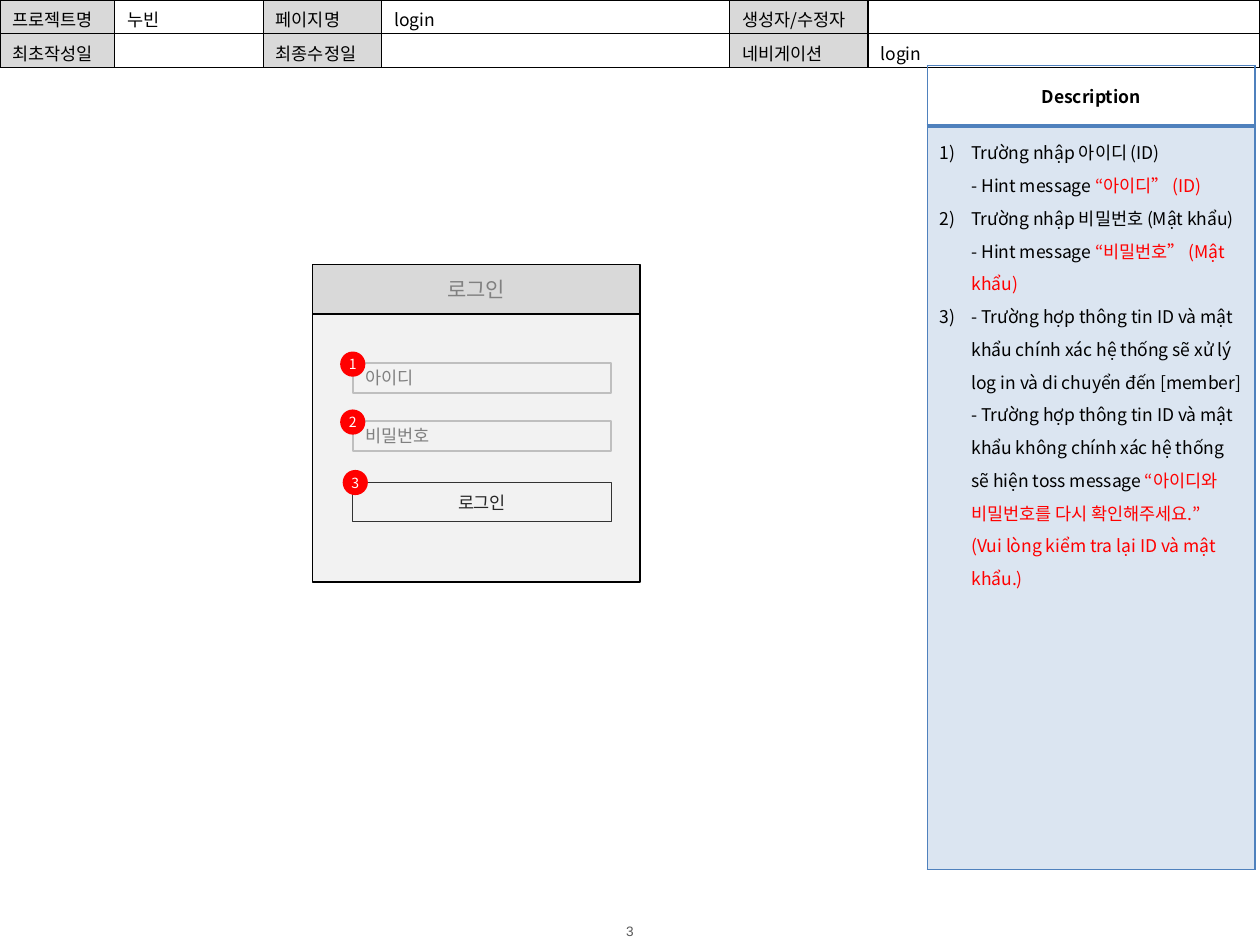
from lxml.etree import SubElement
from pptx import Presentation
from pptx.dml.color import RGBColor
from pptx.enum.shapes import MSO_SHAPE
from pptx.enum.text import MSO_ANCHOR, PP_ALIGN
from pptx.oxml.ns import qn
from pptx.util import Inches, Pt

# Content
FONT = "Noto Sans CJK KR"
BLACK, RED, GRAY, BLUE = "000000", "FF0000", "808080", "4F81BD"
PANEL, HEADER = "F2F2F2", "D9D9D9"

INFO_ROWS = [
    ["프로젝트명", "누빈", "페이지명", "login", "생성자/수정자", ""],
    ["최초작성일", "", "최종수정일", "", "네비게이션", "login"],
]
INFO_WIDTHS = [0.91, 1.18, 0.94, 2.76, 1.1, 3.11]

# Each item: black lines, then the lines of the red message that follows them
DESCRIPTIONS = [
    (["Trường nhập 아이디 (ID)", "- Hint message "], ["“아이디” (ID)"]),
    (["Trường nhập 비밀번호 (Mật khẩu)", "- Hint message "], ["“비밀번호” (Mật khẩu)"]),
    (["- Trường hợp thông tin ID và mật khẩu chính xác hệ thống sẽ xử lý "
      "log in và di chuyển đến [member]",
      "- Trường hợp thông tin ID và mật khẩu không chính xác hệ thống sẽ hiện "
      "toss message "],
     ["“아이디와 비밀번호를 다시 확인해주세요.”",
      "(Vui lòng kiểm tra lại ID và mật khẩu.)"]),
]

# Text, top, height, line colour, line width, font, text colour, alignment
FIELDS = [
    ("아이디", 2.88, 0.24, "BFBFBF", 1, FONT, GRAY, PP_ALIGN.LEFT),
    ("로그인", 3.83, 0.31, "333333", 0.5, "Calibri", "262626", PP_ALIGN.CENTER),
    ("비밀번호", 3.34, 0.24, "BFBFBF", 1, FONT, GRAY, PP_ALIGN.LEFT),
]
MARKERS = [("1", 2.7, 2.79), ("2", 2.7, 3.25), ("3", 2.72, 3.73)]


def color(value):
    return RGBColor.from_string(value)


def add_span(para, text, size=10, tint=BLACK, font=FONT, bold=False):
    span = para.add_run()
    span.text = text
    span.font.size, span.font.bold, span.font.name = Pt(size), bold, font
    span.font.color.rgb = color(tint)
    SubElement(span.font._element, qn("a:ea"), typeface=font)


def add_lines(para, lines, tint):
    for number, line in enumerate(lines):
        if number:
            para.add_line_break()
        add_span(para, line, tint=tint)


def no_margins(frame):
    frame.margin_left = frame.margin_right = frame.margin_top = frame.margin_bottom = 0


def add_box(page, place, fill, line=None, width=1, kind=MSO_SHAPE.RECTANGLE):
    box = page.shapes.add_shape(kind, *map(Inches, place))
    box.shadow.inherit = False
    box.fill.solid()
    box.fill.fore_color.rgb = color(fill)
    if line:
        box.line.color.rgb = color(line)
        box.line.width = Pt(width)
    else:
        box.line.fill.background()
    box.text_frame.vertical_anchor = MSO_ANCHOR.MIDDLE
    box.text_frame.paragraphs[0].alignment = PP_ALIGN.CENTER
    return box


def add_grid(page, left, top, widths, heights):
    frame = page.shapes.add_table(len(heights), len(widths), Inches(left), Inches(top),
                                  Inches(sum(widths)), Inches(sum(heights)))
    table = frame.table
    table.first_row = table.horz_banding = False
    for column, width in zip(table.columns, widths):
        column.width = Inches(width)
    for row, height in zip(table.rows, heights):
        row.height = Inches(height)
    return table


def style_cell(cell, line, fill=None, opacity=100, bottom=1):
    properties = cell._tc.get_or_add_tcPr()
    for side in "LRTB":
        width = bottom if side == "B" else 1
        border = SubElement(properties, qn("a:ln" + side), w=str(Pt(width)))
        solid = SubElement(border, qn("a:solidFill"))
        SubElement(solid, qn("a:srgbClr"), val=line)
    if not fill:
        cell.fill.background()
        return
    cell.fill.solid()
    cell.fill.fore_color.rgb = color(fill)
    if opacity < 100:
        tint = properties.find(qn("a:solidFill")).find(qn("a:srgbClr"))
        SubElement(tint, qn("a:alpha"), val=str(opacity * 1000))


def add_info(page):
    table = add_grid(page, 0, 0, INFO_WIDTHS, [0.26, 0.26])
    for row, texts in enumerate(INFO_ROWS):
        for column, text in enumerate(texts):
            cell = table.cell(row, column)
            style_cell(cell, BLACK, HEADER if column % 2 == 0 else None)
            para = cell.text_frame.paragraphs[0]
            para.font.size = Pt(10)
            if text:
                add_span(para, text)


def add_description(page):
    table = add_grid(page, 7.36, 0.52, [2.6], [0.48, 5.9])
    title, body = table.cell(0, 0), table.cell(1, 0)
    style_cell(title, BLUE, bottom=2)
    title.vertical_anchor = MSO_ANCHOR.MIDDLE
    para = title.text_frame.paragraphs[0]
    para.alignment = PP_ALIGN.CENTER
    add_span(para, "Description", bold=True)

    style_cell(body, BLUE, BLUE, opacity=20)
    frame = body.text_frame
    for index, (lines, message) in enumerate(DESCRIPTIONS):
        para = frame.add_paragraph() if index else frame.paragraphs[0]
        para.line_spacing = 1.3
        properties = para._p.get_or_add_pPr()
        properties.set("marL", str(Inches(0.25)))
        properties.set("indent", str(Inches(-0.25)))
        SubElement(properties, qn("a:buFont"), typeface="+mj-lt")
        SubElement(properties, qn("a:buAutoNum"), type="arabicParenR")
        add_lines(para, lines, BLACK)
        add_lines(para, message, RED)


def add_login(page):
    # Window
    add_box(page, (2.48, 2.49, 2.6, 2.13), PANEL, BLACK)
    bar = add_box(page, (2.48, 2.1, 2.6, 0.39), HEADER, BLACK)
    add_span(bar.text_frame.paragraphs[0], "로그인", 12, GRAY)
    # Fields and button
    for text, top, height, line, width, font, tint, alignment in FIELDS:
        box = add_box(page, (2.8, top, 2.05, height), PANEL, line, width)
        para = box.text_frame.paragraphs[0]
        para.alignment = alignment
        add_span(para, text, 10, tint, font)
    # Numbered markers
    for text, left, top in MARKERS:
        dot = add_box(page, (left, top, 0.2, 0.2), RED, kind=MSO_SHAPE.OVAL)
        no_margins(dot.text_frame)
        dot.text_frame.word_wrap = False
        add_span(dot.text_frame.paragraphs[0], text, 8, "FFFFFF")


def add_page_number(page):
    box = page.shapes.add_textbox(*map(Inches, (4.57, 7.32, 0.86, 0.14)))
    frame = box.text_frame
    frame.word_wrap = True
    no_margins(frame)
    frame.vertical_anchor = MSO_ANCHOR.MIDDLE
    frame.paragraphs[0].alignment = PP_ALIGN.CENTER
    add_span(frame.paragraphs[0], "3", 7.8, "595959", "Arial")


def main():
    deck = Presentation()
    deck.slide_width, deck.slide_height = Inches(10), Inches(7.5)
    page = deck.slides.add_slide(deck.slide_layouts[6])
    add_page_number(page)
    add_info(page)
    add_description(page)
    add_login(page)
    deck.save("out.pptx")


if __name__ == "__main__":
    main()
